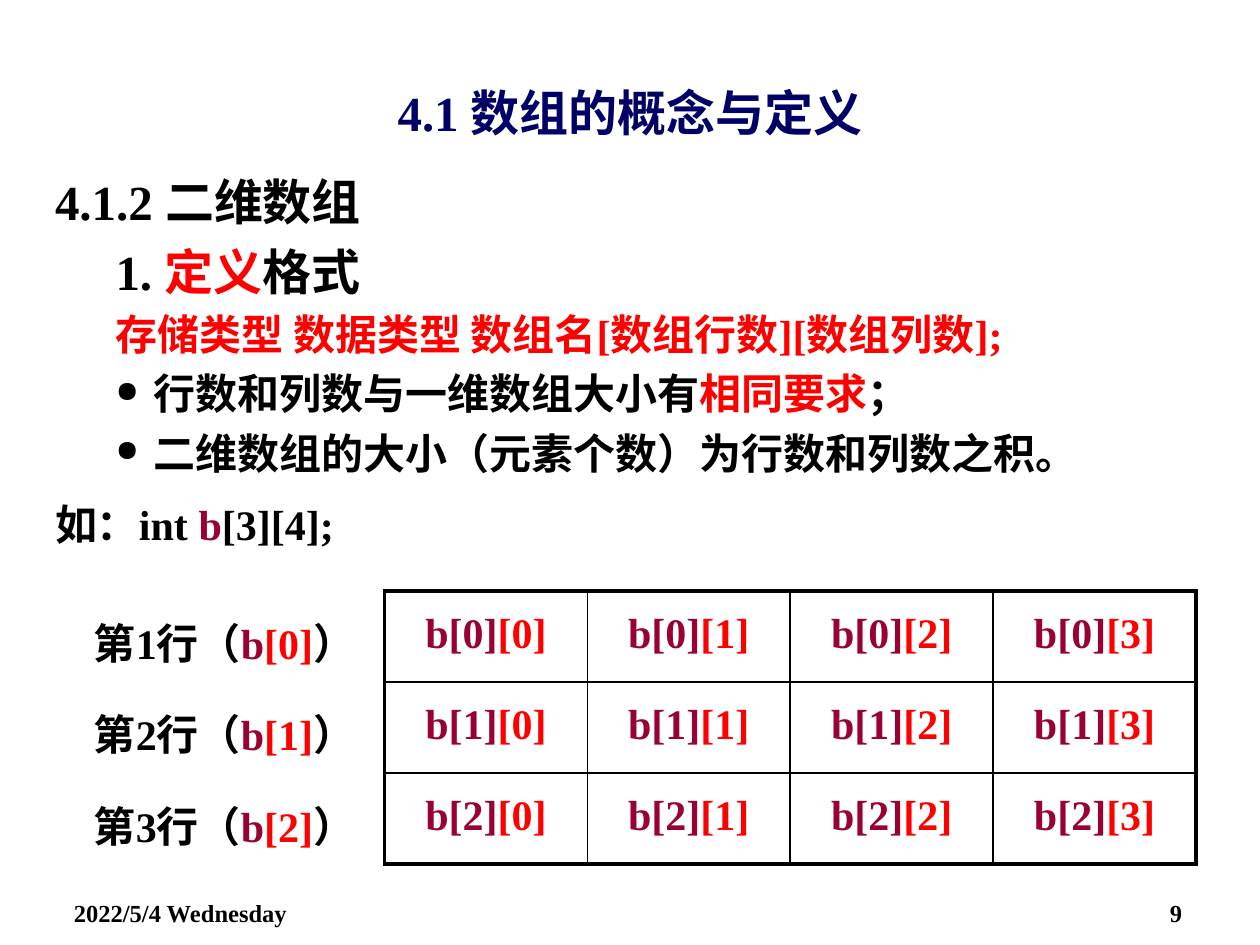
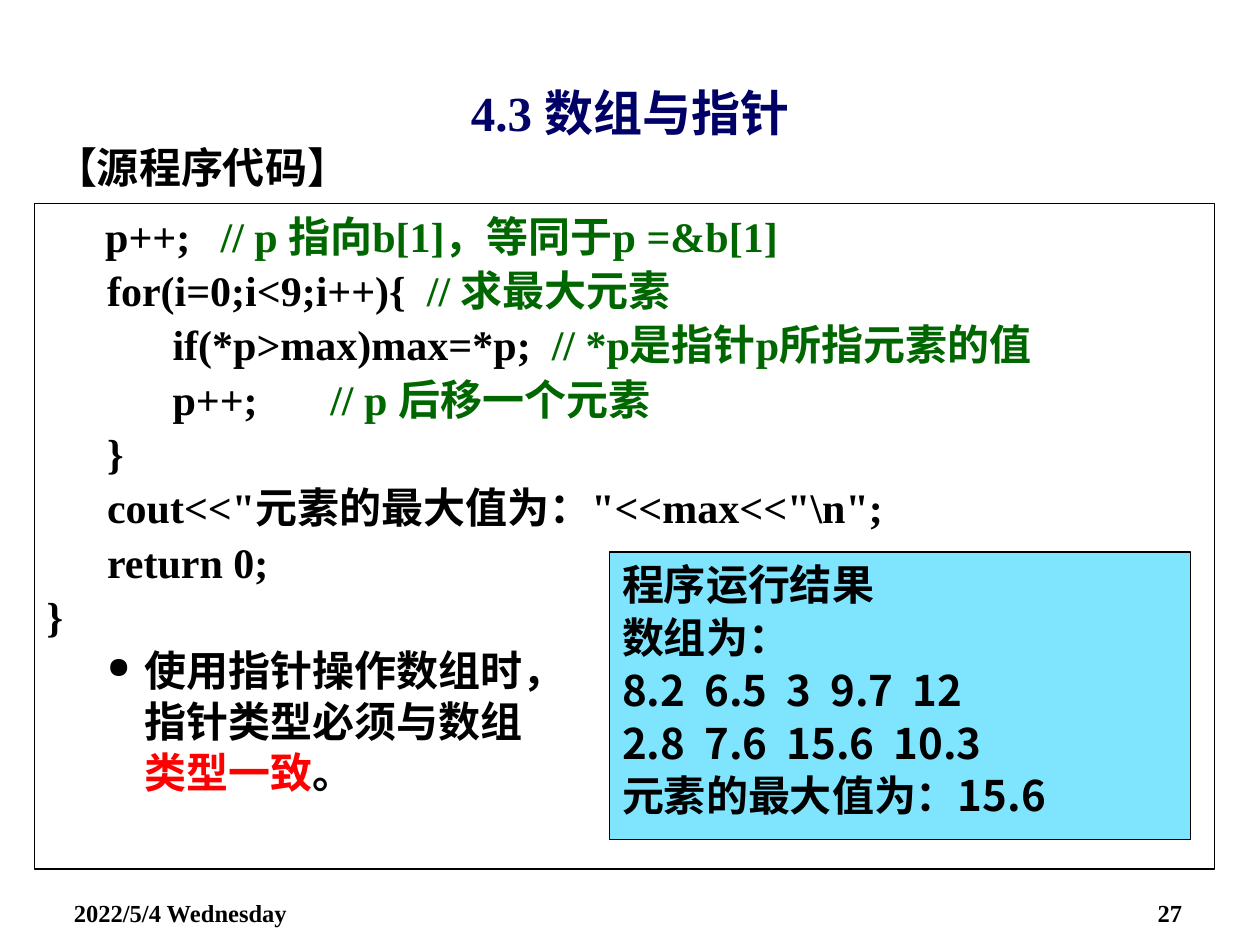
"""Builds two lecture slides on arrays and pointers in C++."""
from lxml import etree
from pptx import Presentation
from pptx import util as u
from pptx.dml.color import RGBColor
from pptx.enum import shapes, text
from pptx.oxml.ns import qn

COLOURS = {"ink": "000000", "title": "000066", "key": "FF0000",
           "name": "990033", "comment": "006600", "result": "00CCFF"}
LATIN, CJK = "Times New Roman", "Noto Sans CJK SC"
LINE_HEIGHT = {28: 34, 24: 29, 14: 17}
DATE = "2022/5/4 Wednesday"

TITLE_BOX = (1.27, 1.37, 22.86, 1.75)
DATE_BOX = (1.24, 17.98, 5.92, 0.74)
NUMBER_BOX = (18.16, 17.98, 5.92, 0.74)
LEVELS = [(0.74, -0.74), (1.98, -0.76), (3.18, -0.64)]
CODE_INDENT = (0.97, -0.97)

ARRAY_BOX = (0.86, 3.33, 23.62, 14.2)
ARRAY_TEXT = [
    {"runs": [("4.1.2 二维数组", "ink")], "size": 28},
    {"runs": [("1. ", "ink"), ("定义", "key"), ("格式", "ink")],
     "size": 28, "level": 1, "before": 5.6},
    {"runs": [("存储类型 数据类型 数组名[数组行数][数组列数];", "key")],
     "level": 1, "before": 4.8},
    {"runs": [("行数和列数与一维数组大小有", "ink"), ("相同要求", "key"), ("；", "ink")],
     "level": 1, "before": 4.8, "bullet": True},
    {"runs": [("二维数组的大小（元素个数）为行数和列数之积。", "ink")],
     "level": 1, "before": 4.8, "bullet": True},
    {"runs": [("如：int ", "ink"), ("b", "name"), ("[3][4];", "ink")], "before": 12},
]

TABLE_AT = (1.3, 11.91)
ROWS, COLS = 3, 4
LABEL_W, CELL_W, ROW_H = 6.45, 4.09, 1.77
THICK, THIN = 2.25, 1

SOURCE_BOX = (0.86, 2.72, 23.62, 1.6)
SOURCE_TEXT = [{"runs": [("【源程序代码】", "ink")]}]

CODE_BOX = (0.69, 4.11, 23.8, 13.41)
CODE_TEXT = [
    {"runs": [("\t p++; \t", "ink"), ("// p 指向b[1]，等同于p =&b[1]", "comment")],
     "indent": CODE_INDENT},
    {"runs": [("for(i=0;i<9;i++){  ", "ink"), ("// 求最大元素", "comment")],
     "level": 1, "before": 2},
    {"runs": [("if(*p>max)max=*p;  ", "ink"), ("// *p是指针p所指元素的值", "comment")],
     "level": 2, "before": 2},
    {"runs": [("p++; \t", "ink"), ("// p 后移一个元素", "comment")],
     "level": 2, "before": 2},
    {"runs": [("}", "ink")], "level": 1, "before": 2},
    {"runs": [('cout<<"元素的最大值为："<<max<<"\\n";', "ink")], "level": 1, "before": 2},
    {"runs": [("return 0;", "ink")], "level": 1, "before": 2},
    {"runs": [("}", "ink")], "indent": CODE_INDENT, "before": 2},
    {"runs": [("使用指针操作数组时，\n指针类型必须与数组\n", "ink"),
              ("类型一致", "key"), ("。", "ink")],
     "level": 1, "before": 2, "bullet": True},
]

RESULT_BOX = (12.29, 11.13, 11.71, 5.79)
RESULT_LINES = ["程序运行结果", "数组为：", "8.2  6.5  3  9.7  12",
                "2.8  7.6  15.6  10.3", "元素的最大值为：15.6"]


def rgb(name):
    return RGBColor.from_string(COLOURS[name])


def cm(values):
    return [u.Cm(v) for v in values]


def add_runs(p, runs, size=24, latin=LATIN):
    for content, colour in runs:
        for i, part in enumerate(content.split("\n")):
            if i:
                p.add_line_break()
            if not part:
                continue
            r = p.add_run()
            r.text = part
            for name, value in {"size": u.Pt(size), "bold": True, "name": latin}.items():
                setattr(r.font, name, value)
            r.font.color.rgb = rgb(colour)
            etree.SubElement(r.font._element, qn("a:ea"), typeface=CJK)


def write(tf, paragraphs, latin=LATIN):
    for i, item in enumerate(paragraphs):
        p = tf.add_paragraph() if i else tf.paragraphs[0]
        size, level = item.get("size", 24), item.get("level", 0)
        ppr = p._p.get_or_add_pPr()
        margin, indent = cm(item.get("indent", LEVELS[level]))
        ppr.set("marL", str(margin))
        ppr.set("indent", str(indent))
        if item.get("bullet"):
            etree.SubElement(ppr, qn("a:buSzPct"), val="70000")
            etree.SubElement(ppr, qn("a:buChar"), char="●")
        form = {"level": level, "line_spacing": u.Pt(LINE_HEIGHT[size]),
                "space_before": u.Pt(item.get("before", 0)),
                "alignment": item.get("align", text.PP_ALIGN.LEFT)}
        for name, value in form.items():
            setattr(p, name, value)
        add_runs(p, item["runs"], size, latin)


def add_text(s, box, paragraphs, anchor=text.MSO_ANCHOR.TOP):
    tf = s.shapes.add_textbox(*cm(box)).text_frame
    tf.word_wrap = True
    tf.vertical_anchor = anchor
    write(tf, paragraphs)


def add_box(s, box, paragraphs, fill=None, latin=LATIN):
    sp = s.shapes.add_shape(shapes.MSO_SHAPE.RECTANGLE, *cm(box))
    sp.shadow.inherit = False
    sp.line.color.rgb = rgb("ink")
    sp.line.width = u.Pt(0.75)
    if fill:
        sp.fill.solid()
        sp.fill.fore_color.rgb = rgb(fill)
        colour = sp._element.spPr.find(qn("a:solidFill"))[0]
        etree.SubElement(colour, qn("a:alpha"), val="50000")
    else:
        sp.fill.background()
    tf = sp.text_frame
    tf.word_wrap = True
    tf.vertical_anchor = text.MSO_ANCHOR.TOP
    write(tf, paragraphs, latin)


def add_slide(prs, title, number):
    s = prs.slides.add_slide(prs.slide_layouts[6])
    add_text(s, DATE_BOX, [{"runs": [(DATE, "ink")], "size": 14, "indent": (0, 0)}])
    add_text(s, NUMBER_BOX, [{"runs": [(str(number), "ink")], "size": 14,
                              "indent": (0, 0), "align": text.PP_ALIGN.RIGHT}])
    add_text(s, TITLE_BOX, [{"runs": [(title, "title")], "size": 28, "indent": (0, 0),
                             "align": text.PP_ALIGN.CENTER}], text.MSO_ANCHOR.MIDDLE)
    return s


def set_borders(cell, widths):
    tcpr = cell._tc.get_or_add_tcPr()
    for i, (side, width) in enumerate(widths.items()):
        ln = etree.Element(qn(f"a:ln{side}"), w=str(u.Pt(width)))
        if width:
            fill = etree.SubElement(ln, qn("a:solidFill"))
            etree.SubElement(fill, qn("a:srgbClr"), val=COLOURS["ink"])
        else:
            etree.SubElement(ln, qn("a:noFill"))
        tcpr.insert(i, ln)


def add_array_table(s):
    size = (LABEL_W + COLS * CELL_W, ROWS * ROW_H)
    table = s.shapes.add_table(ROWS, COLS + 1, *cm(TABLE_AT + size)).table
    table.first_row = table.horz_banding = False
    for col, column in enumerate(table.columns):
        column.width = u.Cm(CELL_W if col else LABEL_W)
    margins = {"margin_left": 0.15, "margin_right": 0.15,
               "margin_top": 0.41, "margin_bottom": 0.41}
    for row in range(ROWS):
        for col in range(COLS + 1):
            cell = table.cell(row, col)
            cell.fill.background()
            for name, value in margins.items():
                setattr(cell, name, u.Cm(value))
            if col:
                runs = [(f"b[{row}]", "name"), (f"[{col - 1}]", "key")]
                widths = {"L": THICK if col == 1 else THIN,
                          "R": THICK if col == COLS else THIN,
                          "T": THIN if row else THICK,
                          "B": THICK if row == ROWS - 1 else THIN}
            else:
                runs = [(f"第{row + 1}行（", "ink"), ("b", "name"),
                        (f"[{row}]", "key"), ("）", "ink")]
                widths = {"L": 0, "R": THICK, "T": 0, "B": 0}
            p = cell.text_frame.paragraphs[0]
            p.alignment = text.PP_ALIGN.CENTER
            add_runs(p, runs)
            set_borders(cell, widths)


def main():
    prs = Presentation()
    prs.slide_width, prs.slide_height = cm((25.4, 19.05))

    s = add_slide(prs, "4.1 数组的概念与定义", 9)
    add_text(s, ARRAY_BOX, ARRAY_TEXT)
    add_array_table(s)

    s = add_slide(prs, "4.3 数组与指针", 27)
    add_text(s, SOURCE_BOX, SOURCE_TEXT)
    add_box(s, CODE_BOX, CODE_TEXT)
    result = [{"runs": [(line, "ink")], "before": 1.2 if i else 0}
              for i, line in enumerate(RESULT_LINES)]
    add_box(s, RESULT_BOX, result, "result", CJK)

    prs.save("out.pptx")


if __name__ == "__main__":
    main()
